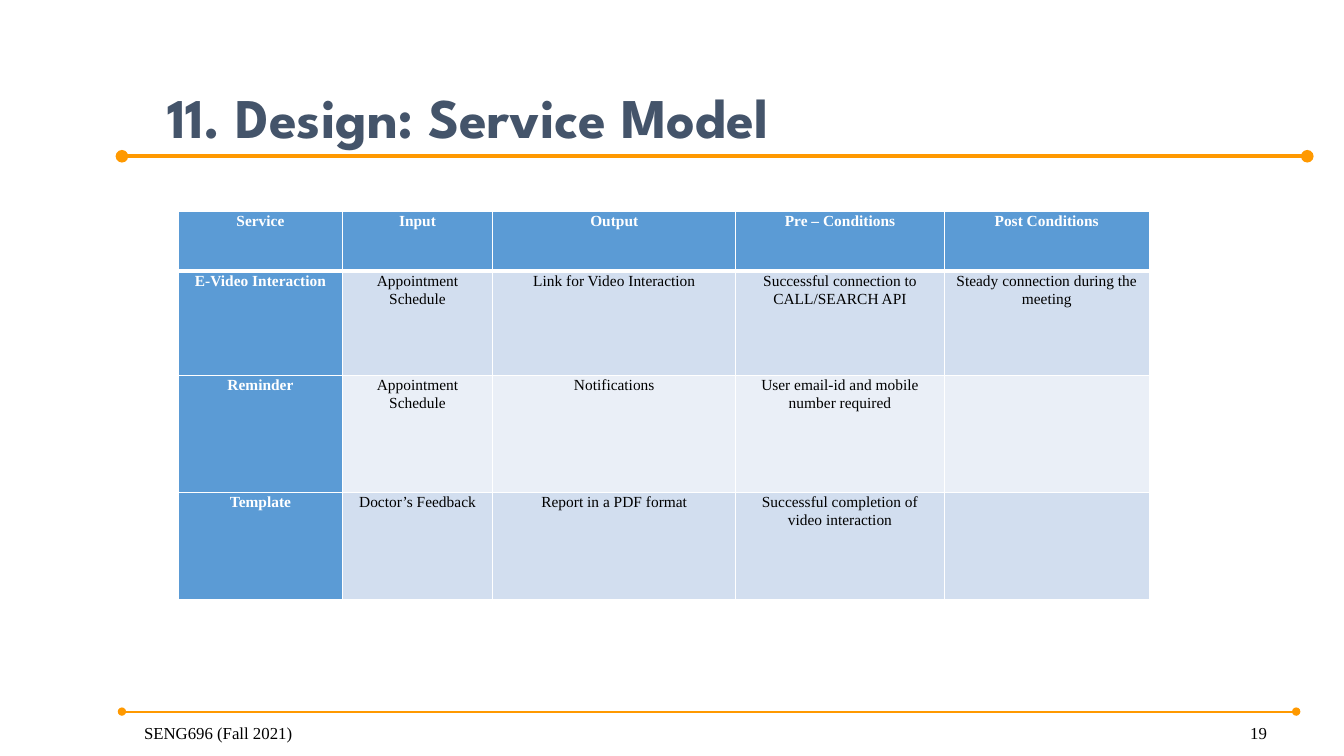
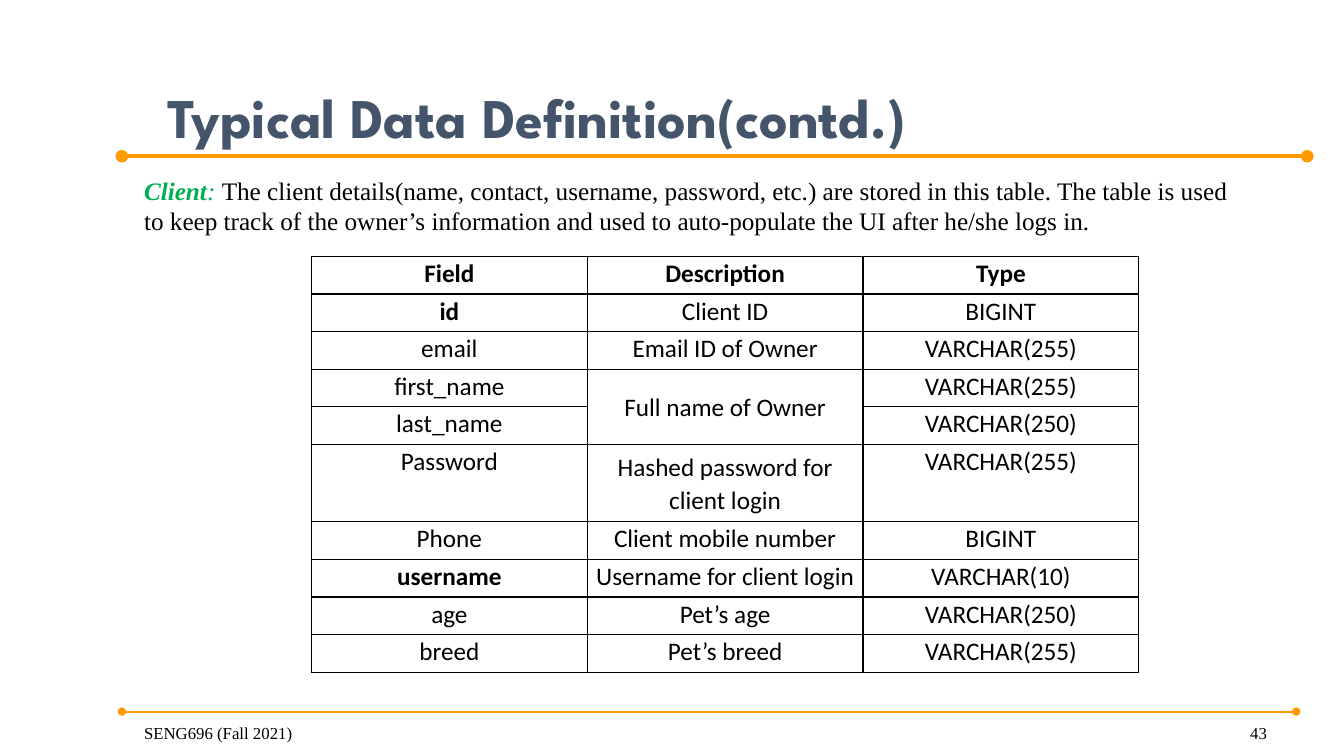
from dataclasses import dataclass

from lxml import etree
from pptx import Presentation
from pptx.dml.color import RGBColor
from pptx.enum.shapes import MSO_CONNECTOR
from pptx.enum.text import MSO_ANCHOR, PP_ALIGN
from pptx.oxml.ns import qn
from pptx.util import Pt

STRAIGHT = MSO_CONNECTOR.STRAIGHT
TOP, MIDDLE, BOTTOM = MSO_ANCHOR.TOP, MSO_ANCHOR.MIDDLE, MSO_ANCHOR.BOTTOM
LEFT, CENTER, RIGHT = PP_ALIGN.LEFT, PP_ALIGN.CENTER, PP_ALIGN.RIGHT
TITLE_ONLY = 5


@dataclass(frozen=True)
class Theme:
    heading_font: str = "League Spartan"
    serif: str = "Times New Roman"
    sans: str = "Calibri"
    title_size: float = 40
    body_size: float = 18
    footer_size: float = 12
    small_size: float = 11
    title: str = "44546A"
    rule: str = "FF9900"
    black: str = "000000"
    white: str = "FFFFFF"
    accent: str = "00B050"
    header: str = "5B9BD5"
    bands: tuple[str, str] = ("D2DEEF", "EAEFF7")


THEME = Theme()


@dataclass(frozen=True)
class Rule:
    left: float
    right: float
    y: float
    weight: float


@dataclass(frozen=True)
class Cell:
    text: str
    bold: bool = False
    color: str = THEME.black
    fill: str | None = None
    anchor: MSO_ANCHOR = TOP
    top: float = 1
    bottom: float = 1


@dataclass(frozen=True)
class Grid:
    left: float
    top: float
    widths: list[float]
    heights: list[float]
    font: str
    size: float
    border: str
    cells: list[list[Cell]]
    merges: tuple[tuple[int, int, int, int], ...] = ()


RULES = (Rule(87.1, 933.8, 111.6, 3), Rule(87.1, 925.9, 508.3, 1.5))

SERVICES = [
    ["Service", "Input", "Output", "Pre – Conditions", "Post Conditions"],
    ["E-Video Interaction", "Appointment Schedule", "Link for Video Interaction",
     "Successful connection to CALL/SEARCH API", "Steady connection during the meeting"],
    ["Reminder", "Appointment Schedule", "Notifications",
     "User email-id and mobile number required", ""],
    ["Template", "Doctor’s Feedback", "Report in a PDF format",
     "Successful completion of video interaction", ""],
]

CLIENT_FIELDS = [
    ["Field", "Description", "Type"],
    ["id", "Client ID", "BIGINT"],
    ["email", "Email ID of Owner", "VARCHAR(255)"],
    ["first_name", "Full name of Owner", "VARCHAR(255)"],
    ["last_name", "", "VARCHAR(250)"],
    ["Password", "Hashed password for client login", "VARCHAR(255)"],
    ["Phone", "Client mobile number", "BIGINT"],
    ["username", "Username for client login", "VARCHAR(10)"],
    ["age", "Pet’s age", "VARCHAR(250)"],
    ["breed", "Pet’s breed", "VARCHAR(255)"],
]
BOLD_FIELDS = {"Field", "Description", "Type", "id", "username"}
CENTERED_FIELDS = {"Full name of Owner", "Hashed password for client login"}


def set_font(font, name: str, size: float, color: str, bold: bool = False) -> None:
    font.name = name
    font.size = Pt(size)
    font.bold = bold
    font.color.rgb = RGBColor.from_string(color)


def place(shape, left: float, top: float, width: float, height: float) -> None:
    shape.left, shape.top = Pt(left), Pt(top)
    shape.width, shape.height = Pt(width), Pt(height)


def add_rule(page, rule: Rule) -> None:
    line = page.shapes.add_connector(
        STRAIGHT, Pt(rule.left), Pt(rule.y), Pt(rule.right), Pt(rule.y))
    line.line.color.rgb = RGBColor.from_string(THEME.rule)
    line.line.width = Pt(rule.weight)
    outline = line.line._get_or_add_ln()
    for end in ("a:headEnd", "a:tailEnd"):
        etree.SubElement(outline, qn(end), type="oval")
    etree.SubElement(line._element.spPr, qn("a:effectLst"))


def add_box(page, left: float, top: float, width: float, height: float):
    box = page.shapes.add_textbox(Pt(left), Pt(top), Pt(width), Pt(height))
    box.text_frame.word_wrap = True
    return box


def add_footer(page, left: float, text: str, align: PP_ALIGN) -> None:
    frame = add_box(page, left, 502.6, 200, 31.7).text_frame
    frame.vertical_anchor = BOTTOM
    para = frame.paragraphs[0]
    para.text = text
    para.alignment = align
    set_font(para.font, THEME.serif, THEME.footer_size, THEME.black)


def add_page(deck, title: str, number: int):
    page = deck.slides.add_slide(deck.slide_layouts[TITLE_ONLY])
    for rule in RULES:
        add_rule(page, rule)
    heading = page.shapes.title
    place(heading, 112.3, 20.2, 827.3, 90)
    frame = heading.text_frame
    frame.text = title
    frame.vertical_anchor = BOTTOM
    para = frame.paragraphs[0]
    para.alignment = LEFT
    set_font(para.font, THEME.heading_font, THEME.title_size, THEME.title, True)
    add_footer(page, 95.8, "SENG696 (Fall 2021)", LEFT)
    add_footer(page, 712.1, str(number), RIGHT)
    return page


def add_border(cell, side: str, color: str, weight: float) -> None:
    line = etree.SubElement(
        cell._tc.get_or_add_tcPr(), qn(f"a:ln{side}"), w=str(int(Pt(weight))))
    fill = etree.SubElement(line, qn("a:solidFill"))
    etree.SubElement(fill, qn("a:srgbClr"), val=color)


def fill_cell(cell, content: Cell, grid: Grid) -> None:
    cell.margin_left = cell.margin_right = Pt(5.4)
    cell.margin_top = cell.margin_bottom = Pt(0)
    cell.vertical_anchor = content.anchor
    for side, weight in zip("LRTB", (1, 1, content.top, content.bottom)):
        add_border(cell, side, grid.border, weight)
    if content.fill:
        cell.fill.solid()
        cell.fill.fore_color.rgb = RGBColor.from_string(content.fill)
    else:
        cell.fill.background()
    para = cell.text_frame.paragraphs[0]
    para.text = content.text
    para.alignment = CENTER
    para.line_spacing = 1.07
    para.space_after = Pt(8)
    set_font(para.font, grid.font, grid.size, content.color, content.bold)


def add_grid(page, grid: Grid) -> None:
    table = page.shapes.add_table(
        len(grid.heights), len(grid.widths), Pt(grid.left), Pt(grid.top),
        Pt(sum(grid.widths)), Pt(sum(grid.heights))).table
    table.first_row = table.horz_banding = False
    for column, width in zip(table.columns, grid.widths):
        column.width = Pt(width)
    for row, height, contents in zip(table.rows, grid.heights, grid.cells):
        row.height = Pt(height)
        for cell, content in zip(row.cells, contents):
            fill_cell(cell, content, grid)
    for first_row, first_column, last_row, last_column in grid.merges:
        table.cell(first_row, first_column).merge(table.cell(last_row, last_column))


def service_cell(text: str, row: int, column: int) -> Cell:
    heading = row == 0 or column == 0
    return Cell(
        text, heading,
        THEME.white if heading else THEME.black,
        THEME.header if heading else THEME.bands[(row - 1) % 2],
        top=3 if row == 1 else 1,
        bottom=3 if row == 0 else 1)


def add_service_page(deck) -> None:
    page = add_page(deck, "11. Design: Service Model", 19)
    cells = [[service_cell(text, row, column) for column, text in enumerate(texts)]
             for row, texts in enumerate(SERVICES)]
    add_grid(page, Grid(
        127.6, 151, [117, 107.4, 173.7, 148.8, 146.6], [42.8, 74.4, 83.5, 76.5],
        THEME.serif, THEME.small_size, THEME.white, cells))


def add_client_page(deck) -> None:
    page = add_page(deck, "Typical Data Definition(contd.)", 43)
    para = add_box(page, 95.8, 121.7, 793.4, 51).text_frame.paragraphs[0]
    for text, color, bold, italic in (
            ("Client", THEME.accent, True, True),
            (": ", THEME.accent, False, True),
            ("The client details(name, contact, username, password, etc.) are stored "
             "in this table. The table is used to keep track of the owner’s information "
             "and used to auto-populate the UI after he/she logs in.",
             THEME.black, False, False)):
        span = para.add_run()
        span.text = text
        set_font(span.font, THEME.serif, THEME.body_size, color, bold)
        span.font.italic = italic
    cells = [[Cell(text, text in BOLD_FIELDS,
                   anchor=MIDDLE if text in CENTERED_FIELDS else TOP)
              for text in texts] for texts in CLIENT_FIELDS]
    heights = [55.2 if texts[0] == "Password" else 26.9 for texts in CLIENT_FIELDS]
    add_grid(page, Grid(
        222.5, 183.1, [197] * 3, heights, THEME.sans, THEME.body_size,
        THEME.black, cells, ((3, 1, 4, 1),)))


def main() -> None:
    deck = Presentation()
    deck.slide_width, deck.slide_height = Pt(960), Pt(540)
    add_service_page(deck)
    add_client_page(deck)
    deck.save("out.pptx")


if __name__ == "__main__":
    main()
